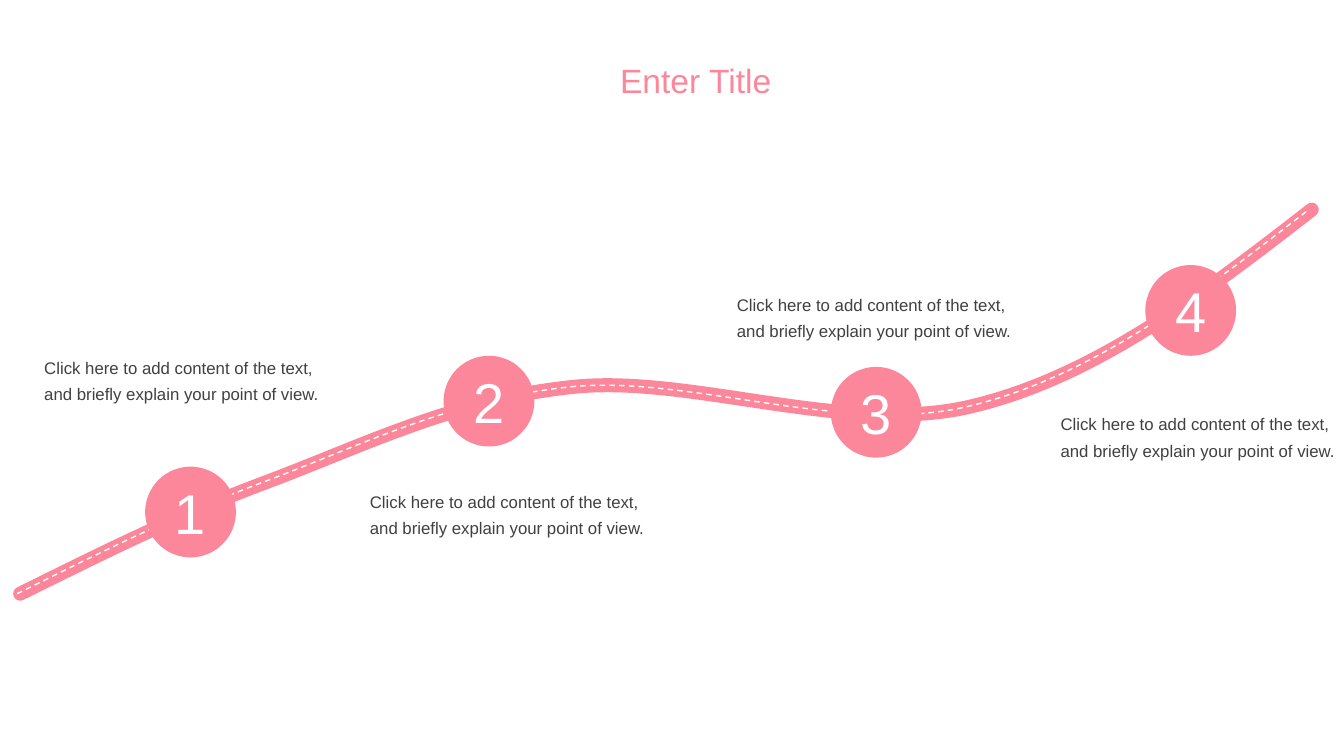
from lxml import etree
from pptx import Presentation
from pptx.dml.color import RGBColor
from pptx.enum.dml import MSO_LINE
from pptx.enum.shapes import MSO_SHAPE
from pptx.enum.text import MSO_ANCHOR as Anchor, MSO_AUTO_SIZE as Fit, PP_ALIGN as Align
from pptx.oxml.ns import qn
from pptx.util import Inches, Pt

COLORS = {"pink": "FD879A", "white": "FFFFFF", "gray": "404040"}
FONT = "Arial"
WIDE, HIGH = 13.33, 7.5

# Start, then two handles and an end per bend, in inches from the road's left edge and top
KNOTS = [
    (0, 3.81),
    (0.77, 3.43), (1.54, 3.04), (2.45, 2.7),
    (3.36, 2.36), (4.31, 1.88), (5.47, 1.76),
    (6.64, 1.63), (8.21, 2.25), (9.44, 1.95),
    (10.66, 1.66), (11.74, 0.83), (12.81, 0),
]
DISC = 0.9
NOTE_H = 0.62
LINES = ["Click here to add content of the text,", "and briefly explain your point of view."]
# Left and top of each stop's disc, then left, top and width of its note
STOPS = [
    ((1.44, 4.63), (0.34, 3.44, 3.49)),
    ((4.4, 3.53), (3.57, 4.77, 2.98)),
    ((8.24, 3.64), (7.21, 2.81, 2.98)),
    ((11.36, 2.63), (10.42, 4, 2.98)),
]


def hue(name):
    return RGBColor.from_string(COLORS[name])


def style(para, size, color, align=Align.LEFT):
    para.alignment = align
    font = para.font
    font.name, font.size = FONT, Pt(size)
    font.color.rgb = hue(color)


def bend(shape):
    """Turn each three straight segments into one cubic Bezier segment."""
    legs = list(shape.element.iter(qn("a:lnTo")))
    for first, *rest in zip(legs[::3], legs[1::3], legs[2::3]):
        cubic = etree.Element(qn("a:cubicBezTo"))
        first.addprevious(cubic)
        for leg in (first, *rest):
            cubic.append(leg[0])
            leg.getparent().remove(leg)


def add_curve(slide, left, top, color, width, dash=None):
    points = [(Inches(left + x), Inches(top + y)) for x, y in KNOTS]
    pen = slide.shapes.build_freeform(*points[0])
    pen.add_line_segments(points[1:], close=False)
    curve = pen.convert_to_shape()
    bend(curve)
    curve.shadow.inherit = False
    curve.fill.background()
    line = curve.line
    line.color.rgb, line.width = hue(color), Pt(width)
    if dash:
        line.dash_style = dash
    else:
        ln = curve.element.spPr.find(qn("a:ln"))
        ln.set("cap", "rnd")
        etree.SubElement(ln, qn("a:round"))


def add_road(slide, left, top):
    add_curve(slide, left, top, "pink", 10)
    add_curve(slide, left - 0.03, top, "white", 1, MSO_LINE.DASH)


def set_title(slide, left, top, width, height):
    title = slide.shapes.title
    title.left, title.top = Inches(left), Inches(top)
    title.width, title.height = Inches(width), Inches(height)
    frame = title.text_frame
    frame.text = "Enter Title"
    frame.auto_size, frame.vertical_anchor = Fit.SHAPE_TO_FIT_TEXT, Anchor.TOP
    style(frame.paragraphs[0], 24, "pink", Align.CENTER)


def add_disc(slide, left, top, label):
    disc = slide.shapes.add_shape(MSO_SHAPE.OVAL, Inches(left), Inches(top),
                                  Inches(DISC), Inches(DISC))
    disc.shadow.inherit = False
    disc.fill.solid()
    disc.fill.fore_color.rgb = hue("pink")
    disc.line.fill.background()
    frame = disc.text_frame
    frame.text, frame.vertical_anchor = label, Anchor.MIDDLE
    style(frame.paragraphs[0], 40, "white", Align.CENTER)


def add_note(slide, left, top, width):
    box = slide.shapes.add_textbox(*map(Inches, (left, top, width, NOTE_H)))
    frame = box.text_frame
    frame.word_wrap, frame.auto_size = True, Fit.SHAPE_TO_FIT_TEXT
    frame.text = "\n".join(LINES)
    for para in frame.paragraphs:
        style(para, 12, "gray")
        para.line_spacing = 1.3


def main():
    deck = Presentation()
    deck.slide_width, deck.slide_height = Inches(WIDE), Inches(HIGH)
    slide = deck.slides.add_slide(deck.slide_layouts[5])
    add_road(slide, 0.2, 2.08)
    set_title(slide, 5.07, 0.54, 3.66, 0.5)
    for number, (disc, note) in enumerate(STOPS, 1):
        add_disc(slide, *disc, str(number))
    for disc, note in STOPS:
        add_note(slide, *note)
    deck.save("out.pptx")


if __name__ == "__main__":
    main()
